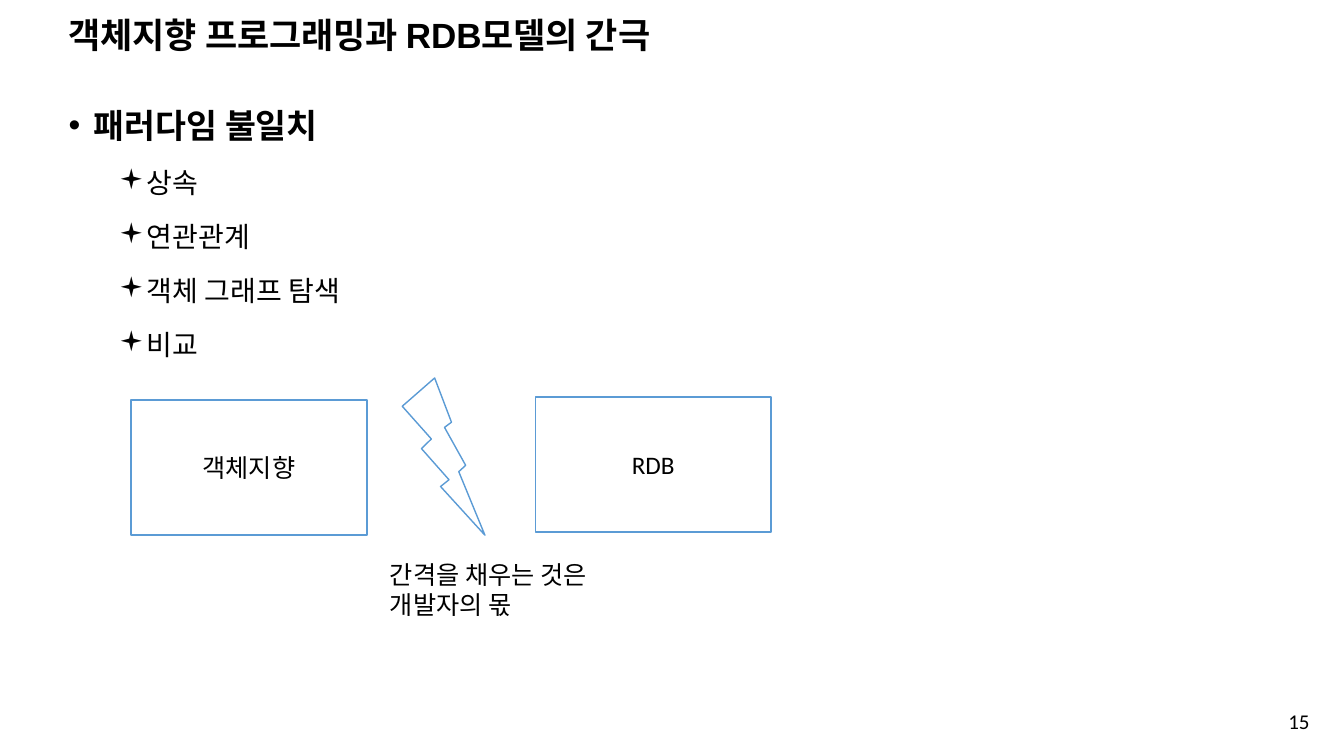
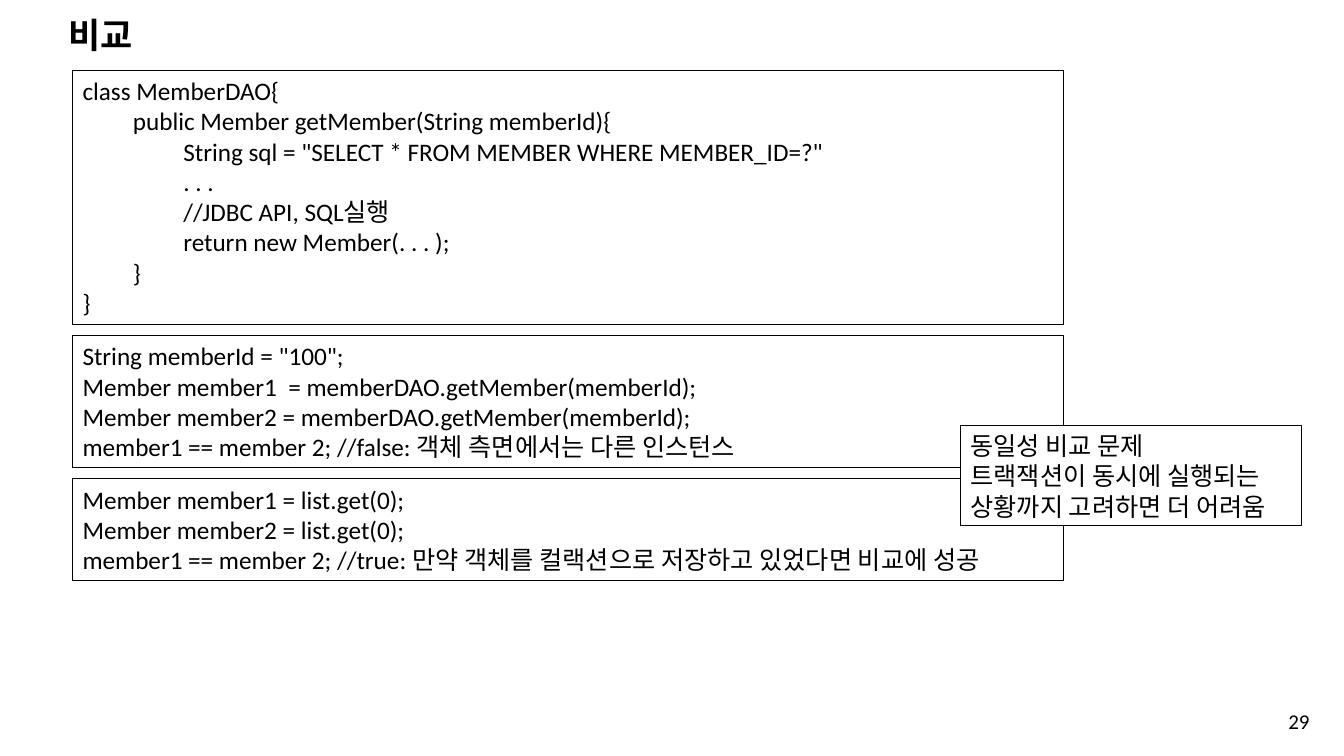
"""Build two slides on the gap between objects and relational databases."""
from dataclasses import dataclass

from lxml import etree
from pptx import Presentation, util as u
from pptx.dml.color import RGBColor
from pptx.enum import shapes, text
from pptx.oxml.ns import qn

WIDE, HIGH = u.Inches(13.333), u.Inches(7.5)
BLACK, WHITE, BLUE = "000000", "FFFFFF", "5B9BD5"
HEAD, BODY = "Arial", "Calibri"
LEFT, MID, RIGHT = text.PP_ALIGN.LEFT, text.PP_ALIGN.CENTER, text.PP_ALIGN.RIGHT
TOP, CENTER = text.MSO_ANCHOR.TOP, text.MSO_ANCHOR.MIDDLE
RECT, BOLT = shapes.MSO_SHAPE.RECTANGLE, shapes.MSO_SHAPE.LIGHTNING_BOLT


@dataclass
class Area:
    """A place on the slide, in percent of its width and height."""
    x: float
    y: float
    w: float
    h: float

    def emu(self) -> tuple:
        """Return left, top, width and height in EMU."""
        return tuple(int(part * full / 100) for part, full in
                     zip((self.x, self.y, self.w, self.h), (WIDE, HIGH) * 2))


@dataclass
class Box:
    """An outlined shape with text."""
    area: Area
    words: str = ""
    kind: int = RECT
    fill: str = WHITE
    edge: str = BLACK
    width: float = 0.75
    align: int = LEFT
    anchor: int = TOP


@dataclass
class Level:
    """The look of one list level."""
    size: int
    bold: bool
    mark: str
    face: str
    left: float
    before: int


TITLE = Area(4.35, 2.4, 86.25, 5.07)
LIST = Area(4.35, 11.07, 92.93, 79.2)
NUMBER = Area(75.68, 92.67, 22.5, 5.33)
LEVELS = (Level(24, True, "•", "Arial", 0.25, 10),
          Level(20, False, "▪", "Wingdings", 0.75, 5))
POINTS = (("패러다임 불일치", 0), ("상속", 1), ("연관관계", 1),
          ("객체 그래프 탐색", 1), ("비교", 1))
MODELS = (
    Box(Area(39.83, 52.53, 17.55, 17.87), "RDB", RECT, WHITE, BLUE, 1, MID, CENTER),
    Box(Area(9.75, 52.93, 17.55, 17.87), "객체지향", RECT, WHITE, BLUE, 1, MID, CENTER),
    Box(Area(29.93, 50, 6.15, 20.8), "", BOLT, WHITE, BLUE, 1),
)
CODES = (
    """class MemberDAO{
\tpublic Member getMember(String memberId){
\t\tString sql = "SELECT * FROM MEMBER WHERE MEMBER_ID=?"
\t\t. . .
\t\t//JDBC API, SQL실행
\t\treturn new Member(. . . );
\t}
}""",
    """String memberId = "100";
Member member1  = memberDAO.getMember(memberId);
Member member2 = memberDAO.getMember(memberId);
member1 == member 2; //false: 객체 측면에서는 다른 인스턴스""",
    """Member member1 = list.get(0);
Member member2 = list.get(0);
member1 == member 2; //true: 만약 객체를 컬랙션으로 저장하고 있었다면 비교에 성공""",
)
ASIDE = Box(Area(71.48, 56.27, 25.35, 13.2),
            "동일성 비교 문제\n트랙잭션이 동시에 실행되는\n상황까지 고려하면 더 어려움")
ROW, PAD, GAP = 4.03, 1.33, 1.5


def color(code: str) -> RGBColor:
    """Turn a hex string into a colour."""
    return RGBColor.from_string(code)


def style(para, size: float, face: str = BODY, bold: bool = False,
          align: int = LEFT) -> None:
    """Set the font and alignment of a paragraph."""
    para.alignment = align
    font = para.font
    font.size, font.name, font.bold = u.Pt(size), face, bold
    font.color.rgb = color(BLACK)


def place(item, area: Area) -> None:
    """Move a shape to an area."""
    item.left, item.top, item.width, item.height = area.emu()


def write(frame, words: str, size: float = 18, align: int = LEFT,
          anchor: int = TOP, wrap: bool = True) -> None:
    """Fill a text frame with plain lines."""
    frame.text = words
    frame.word_wrap, frame.vertical_anchor = wrap, anchor
    for para in frame.paragraphs:
        style(para, size, align=align)


def start(deck, layout: int, title: str, number: str):
    """Add a slide with its title and page number."""
    slide = deck.slides.add_slide(deck.slide_layouts[layout])
    head = slide.shapes.title
    place(head, TITLE)
    frame = head.text_frame
    frame.text = title
    frame.auto_size = text.MSO_AUTO_SIZE.NONE
    frame.vertical_anchor = CENTER
    para = frame.paragraphs[0]
    para.line_spacing = 0.9
    style(para, 25, HEAD, True)
    label = slide.shapes.add_textbox(*NUMBER.emu())
    write(label.text_frame, number, 15, RIGHT, CENTER)
    return slide


def bullet(para, level: Level) -> None:
    """Give a paragraph its bullet and indent."""
    props = para._p.get_or_add_pPr()
    props.set("marL", str(u.Inches(level.left)))
    props.set("indent", str(-u.Inches(0.25)))
    face = etree.Element(qn("a:buFont"), typeface=level.face)
    mark = etree.Element(qn("a:buChar"), char=level.mark)
    last = props.find(qn("a:defRPr"))
    last.addprevious(face)
    last.addprevious(mark)


def outline(slide, points: tuple) -> None:
    """Fill the body placeholder with a two-level list."""
    body = slide.placeholders[1]
    place(body, LIST)
    frame = body.text_frame
    frame.text = "\n".join(words for words, _ in points)
    frame.auto_size = text.MSO_AUTO_SIZE.NONE
    for para, (_, depth) in zip(frame.paragraphs, points):
        level = LEVELS[depth]
        para.level = depth
        para.line_spacing = 1.4
        para.space_before = u.Pt(level.before)
        style(para, level.size, HEAD, level.bold)
        bullet(para, level)


def draw(slide, box: Box) -> None:
    """Draw an outlined box."""
    item = slide.shapes.add_shape(box.kind, *box.area.emu())
    item.shadow.inherit = False
    if box.fill:
        item.fill.solid()
        item.fill.fore_color.rgb = color(box.fill)
    else:
        item.fill.background()
    item.line.color.rgb = color(box.edge)
    item.line.width = u.Pt(box.width)
    if box.words:
        write(item.text_frame, box.words, align=box.align, anchor=box.anchor)


def models(deck) -> None:
    """Build the slide on the two models."""
    slide = start(deck, 1, "객체지향 프로그래밍과 RDB모델의 간극", "15")
    outline(slide, POINTS)
    for box in MODELS:
        draw(slide, box)
    note = slide.shapes.add_textbox(*Area(28.28, 73.33, 18.15, 9.33).emu())
    write(note.text_frame, "간격을 채우는 것은\n개발자의 몫", wrap=False)


def compare(deck) -> None:
    """Build the slide on comparing instances."""
    slide = start(deck, 5, "비교", "29")
    top = 9.33
    for code in CODES:
        high = PAD + ROW * len(code.splitlines())
        draw(slide, Box(Area(5.4, top, 73.73, high), code, fill=""))
        top += high + GAP
    draw(slide, ASIDE)


def main() -> None:
    """Build and save the deck."""
    deck = Presentation()
    deck.slide_width, deck.slide_height = WIDE, HIGH
    models(deck)
    compare(deck)
    deck.save("out.pptx")


if __name__ == "__main__":
    main()
